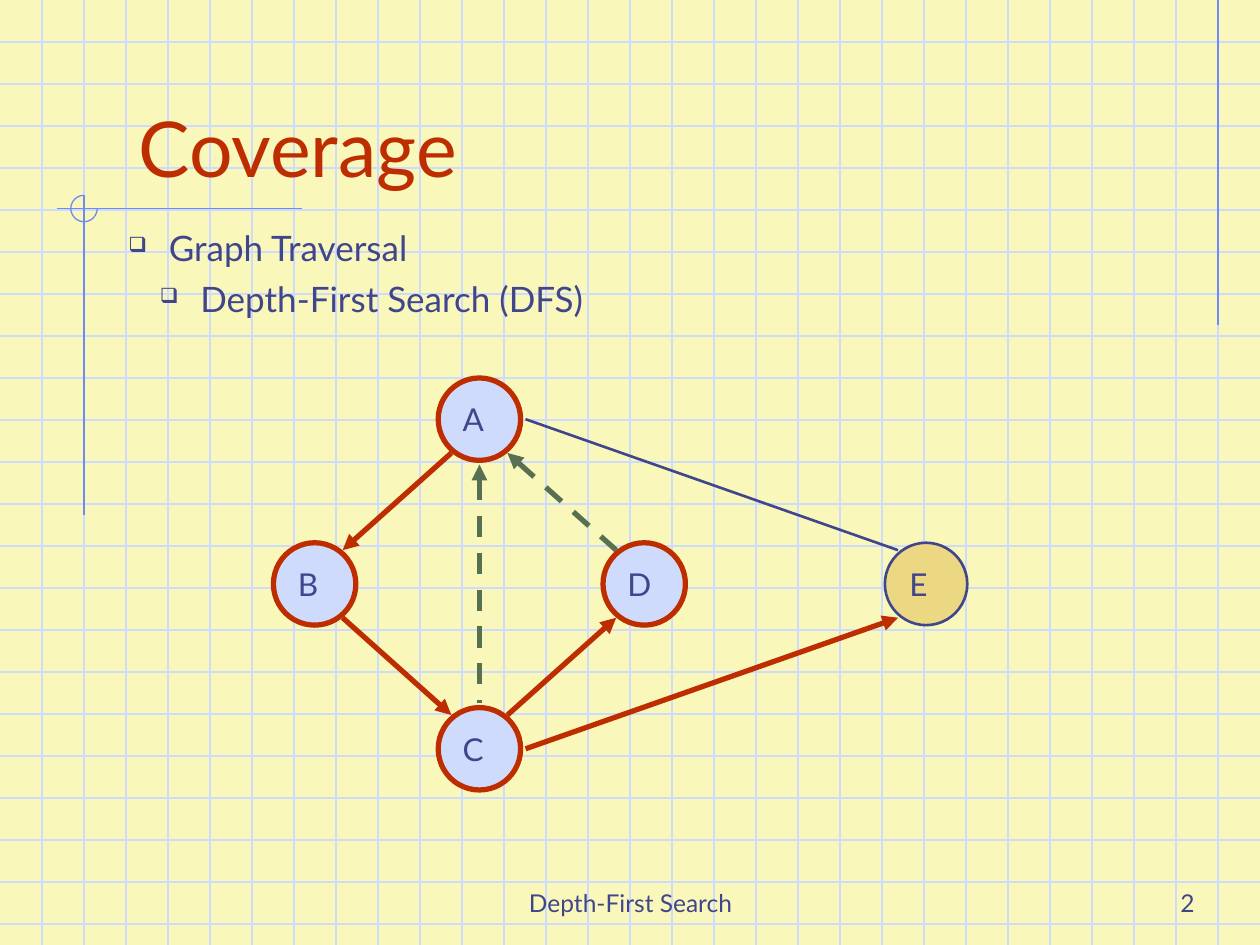
from collections import namedtuple

from lxml.etree import SubElement
from pptx import Presentation
from pptx.dml.color import RGBColor
from pptx.enum.dml import MSO_LINE
from pptx.enum.shapes import MSO_CONNECTOR, MSO_SHAPE
from pptx.enum.text import MSO_ANCHOR, PP_ALIGN
from pptx.oxml.ns import qn
from pptx.util import Inches, Pt

WIDTH, HEIGHT, CELL = 10, 7.5, 1 / 3
FONT = "Lato"
COLORS = {
    "paper": "F9F8BA",
    "grid": "CFDBFD",
    "rule": "6F89F7",
    "accent": "BE2D00",
    "ink": "40458C",
    "back_edge": "577052",
    "unvisited": "ECD882",
}
Box = namedtuple("Box", "left top width height")

NODES = {"D": (4, 2), "B": (0, 2), "A": (2, 0), "C": (2, 4), "E": (7.42, 2)}
PORTS = {
    "NW": (-0.34, -0.41), "NE": (0.34, -0.41),
    "SW": (-0.34, 0.41), "SE": (0.34, 0.41),
    "N": (0, -0.55), "S": (0, 0.55), "E": (0.56, 0),
}
TREE = {"color": "accent", "weight": 3}
BACK = {"color": "back_edge", "weight": 3, "dash": MSO_LINE.DASH, "arrow": "headEnd"}
OPEN = {"color": "ink", "weight": 1.5}
EDGES = [
    ("A", "SW", "B", "NE", {**TREE, "arrow": "tailEnd"}),
    ("C", "NW", "B", "SE", {**TREE, "arrow": "headEnd"}),
    ("C", "NE", "D", "SW", {**TREE, "arrow": "tailEnd"}),
    ("A", "SE", "D", "NW", BACK),
    ("A", "S", "C", "N", BACK),
    ("C", "E", "E", "SW", {**TREE, "arrow": "tailEnd"}),
    ("E", "NW", "A", "E", OPEN),
]


def rgb(name):
    return RGBColor.from_string(COLORS[name])


def emu(box):
    return [Inches(length) for length in box]


def write(para, text, size=18, color="ink", align=PP_ALIGN.LEFT, before=0):
    para.alignment = align
    para.space_before = Pt(before)
    span = para.add_run()
    span.text = text
    span.font.name = FONT
    span.font.size = Pt(size)
    span.font.color.rgb = rgb(color)


def add_text(page, box, text, anchor=MSO_ANCHOR.BOTTOM, **style):
    frame = page.shapes.add_textbox(*emu(box)).text_frame
    frame.word_wrap = True
    frame.vertical_anchor = anchor
    write(frame.paragraphs[0], text, **style)


def add_line(page, start, end, color, weight=0.75, dash=None, arrow=None):
    line = page.shapes.add_connector(MSO_CONNECTOR.STRAIGHT, *emu(start + end))
    line.line.color.rgb = rgb(color)
    line.line.width = Pt(weight)
    if dash:
        line.line.dash_style = dash
    if arrow:
        SubElement(line.line._get_or_add_ln(), qn(f"a:{arrow}"), type="triangle")
    SubElement(line._element.spPr, qn("a:effectLst"))


def add_grid(page, box):
    right, bottom = box.left + box.width, box.top + box.height
    for row in range(1, int(box.height / CELL) + 1):
        y = box.top + row * CELL
        add_line(page, (box.left, y), (right, y), "grid")
    for column in range(1, round(box.width / CELL)):
        x = box.left + column * CELL
        add_line(page, (x, box.top), (x, bottom), "grid")


def add_ornament(page, box):
    x, y, radius = box.left + 2 * CELL, box.top + 1.655, 0.105
    edge = box.left + 29 * CELL
    add_line(page, (edge, box.top), (edge, box.top + 2.58), "rule")
    add_line(page, (box.left + 2.4, y), (box.left + 0.45, y), "rule")
    add_line(page, (x, y - radius), (x, box.top + 4.09), "rule")
    circle = Box(x - radius, y - radius, 2 * radius, 2 * radius)
    arc = page.shapes.add_shape(MSO_SHAPE.ARC, *emu(circle))
    arc.adjustments[0] = 0
    arc.adjustments[1] = 162
    arc.shadow.inherit = False
    arc.fill.background()
    arc.line.color.rgb = rgb("rule")
    arc.line.width = Pt(0.75)


def add_outline(page, box, items):
    frame = page.shapes.add_textbox(*emu(box)).text_frame
    frame.word_wrap = True
    for level, text in enumerate(items):
        para = frame.add_paragraph() if level else frame.paragraphs[0]
        write(para, text, size=20, before=5)
        para.level = level
        properties = para._p.get_or_add_pPr()
        properties.set("marL", str(Inches(0.25 * (level + 1))))
        properties.set("indent", str(-Inches(0.25)))
        bullet_color = SubElement(properties, qn("a:buClr"))
        SubElement(bullet_color, qn("a:srgbClr"), val=COLORS["ink"])
        SubElement(properties, qn("a:buSzPct"), val="60000")
        SubElement(properties, qn("a:buChar"), char="❑")


def add_node(page, box, label, visited):
    node = page.shapes.add_shape(MSO_SHAPE.OVAL, *emu(box))
    node.shadow.inherit = False
    node.fill.solid()
    node.fill.fore_color.rgb = rgb("grid" if visited else "unvisited")
    node.line.color.rgb = rgb("accent" if visited else "ink")
    node.line.width = Pt(3 if visited else 1.5)
    node.text_frame.vertical_anchor = MSO_ANCHOR.MIDDLE
    write(node.text_frame.paragraphs[0], label)


def add_graph(page, box):
    size = box.height / 5

    def port(label, side):
        column, row = NODES[label]
        across, down = PORTS[side]
        return (box.left + (column + 0.5 + across) * size,
                box.top + (row + 0.5 + down) * size)

    for label, (column, row) in NODES.items():
        place = Box(box.left + column * size, box.top + row * size, size, size)
        add_node(page, place, label, visited=label != "E")
    for start, leave, end, enter, style in EDGES:
        add_line(page, port(start, leave), port(end, enter), **style)


def add_footer(page, box):
    add_text(page, Box(box.left + 3.42, box.top, 3.17, box.height),
             "Depth-First Search", size=14, align=PP_ALIGN.CENTER)
    add_text(page, Box(box.left + 7.5, box.top, 2.08, box.height),
             "2", size=14, align=PP_ALIGN.RIGHT)


def main():
    deck = Presentation()
    deck.slide_width, deck.slide_height = Inches(WIDTH), Inches(HEIGHT)
    page = deck.slides.add_slide(deck.slide_layouts[6])
    page.background.fill.solid()
    page.background.fill.fore_color.rgb = rgb("paper")
    whole = Box(0, 0, WIDTH, HEIGHT)
    add_grid(page, whole)
    add_ornament(page, whole)
    add_text(page, Box(3 * CELL, CELL, 8.5, 1.25), "Coverage", size=44, color="accent")
    add_outline(page, Box(0.92, 1.75, 7.08, 0.83),
                [" Graph Traversal", " Depth-First Search (DFS)"])
    add_graph(page, Box(2.17, 3, 5.5, 3.27))
    add_footer(page, Box(0, 20.5 * CELL, WIDTH, 1.5 * CELL))
    deck.save("out.pptx")


if __name__ == "__main__":
    main()
